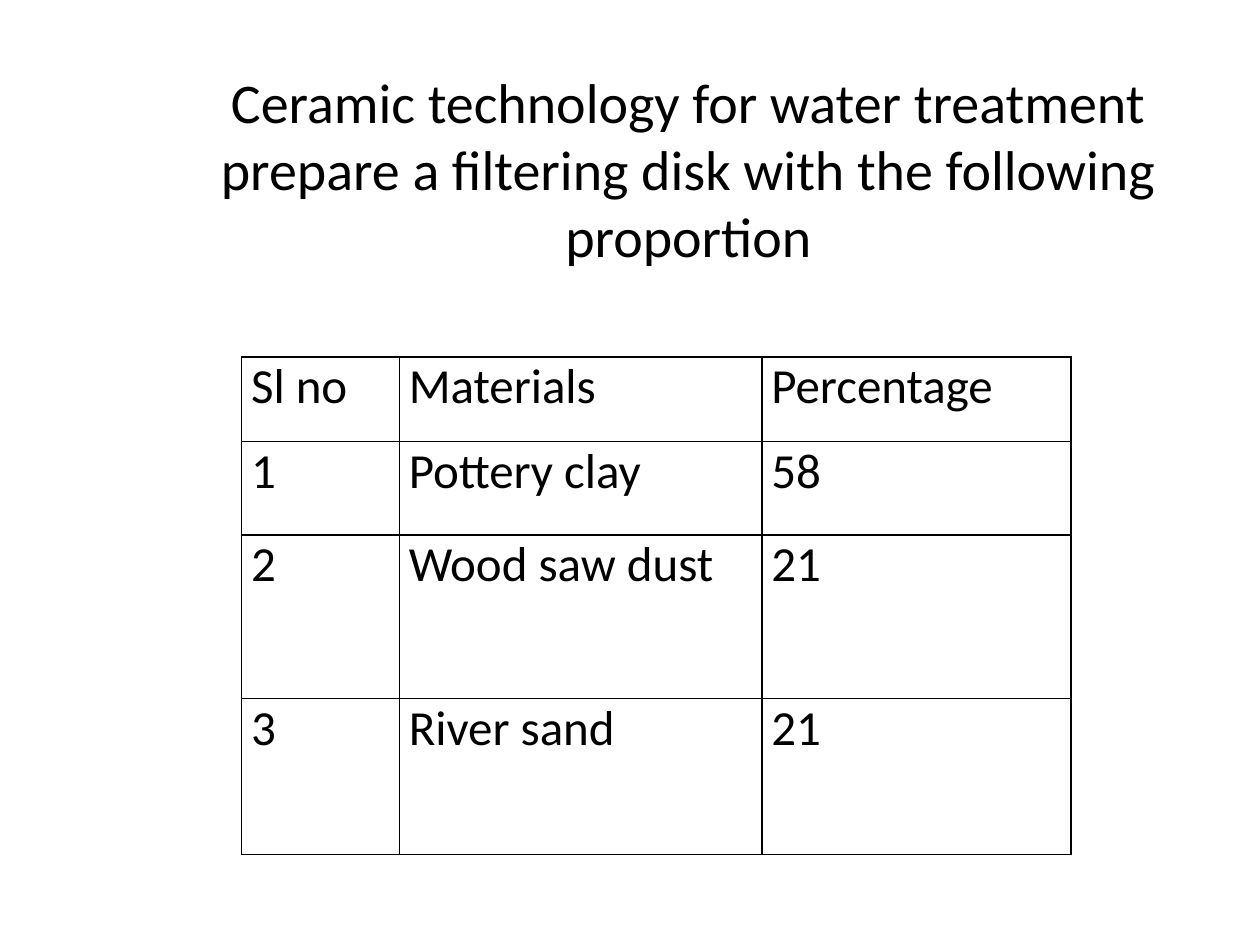
from lxml import etree
from pptx import Presentation
from pptx.dml.color import RGBColor
from pptx.enum.text import MSO_ANCHOR, PP_ALIGN
from pptx.oxml.ns import qn
from pptx.util import Cm, Pt

BLACK = RGBColor(0, 0, 0)
WHITE = RGBColor(255, 255, 255)
LEFT, CENTER = PP_ALIGN.LEFT, PP_ALIGN.CENTER
TOP, MIDDLE = MSO_ANCHOR.TOP, MSO_ANCHOR.MIDDLE
FONT = "Calibri"
TITLE = "Ceramic technology for water treatment\nprepare a filtering disk with the following proportion"
ROWS = [
    ("Sl no", "Materials", "Percentage"),
    ("1", "Pottery clay", "58"),
    ("2", "Wood saw dust", "21"),
    ("3", "River sand", "21"),
]


def write(frame, text, size=28, color=BLACK, align=LEFT):
    frame.word_wrap = True
    para = frame.paragraphs[0]
    para.text = text
    para.alignment = align
    for run in para.runs:
        run.font.name = FONT
        run.font.size = Pt(size)
        run.font.color.rgb = color


def edge(cell, color=BLACK, width=1):
    props = cell._tc.get_or_add_tcPr()
    for spot, side in enumerate(("lnL", "lnR", "lnT", "lnB")):
        line = etree.Element(qn(f"a:{side}"), w=str(Pt(width)))
        fill = etree.SubElement(line, qn("a:solidFill"))
        etree.SubElement(fill, qn("a:srgbClr"), val=str(color))
        props.insert(spot, line)


class Deck:
    def __init__(self, wide, high):
        self.show = Presentation()
        self.show.slide_width = Cm(wide)
        self.show.slide_height = Cm(high)
        self.slide = None

    def page(self):
        self.slide = self.show.slides.add_slide(self.show.slide_layouts[5])
        fill = self.slide.background.fill
        fill.solid()
        fill.fore_color.rgb = WHITE

    def title(self, text, left, top, wide, high):
        shape = self.slide.shapes.title
        shape.left, shape.top = Cm(left), Cm(top)
        shape.width, shape.height = Cm(wide), Cm(high)
        shape.text_frame.vertical_anchor = MIDDLE
        write(shape.text_frame, text, size=32, align=CENTER)

    def table(self, rows, left, top, widths, heights):
        frame = self.slide.shapes.add_table(
            len(rows), len(widths), Cm(left), Cm(top),
            Cm(sum(widths)), Cm(sum(heights)))
        grid = frame.table
        grid.first_row = False
        grid.horz_banding = False
        for col, wide in zip(grid.columns, widths):
            col.width = Cm(wide)
        for row, high, texts in zip(grid.rows, heights, rows):
            row.height = Cm(high)
            for cell, text in zip(row.cells, texts):
                self.cell(cell, text)

    def cell(self, cell, text):
        cell.fill.background()
        cell.vertical_anchor = TOP
        cell.margin_left = cell.margin_right = Cm(0.19)
        cell.margin_top = cell.margin_bottom = 0
        write(cell.text_frame, text)
        edge(cell)

    def save(self):
        self.show.save("out.pptx")


def main():
    deck = Deck(25.4, 19.05)
    deck.page()
    deck.title(TITLE, 2.96, 0.64, 21.84, 5.5)
    deck.table(ROWS, 4.87, 7.2, (3.18, 7.31, 6.23), (1.7, 1.88, 3.3, 3.15))
    deck.save()


if __name__ == "__main__":
    main()
